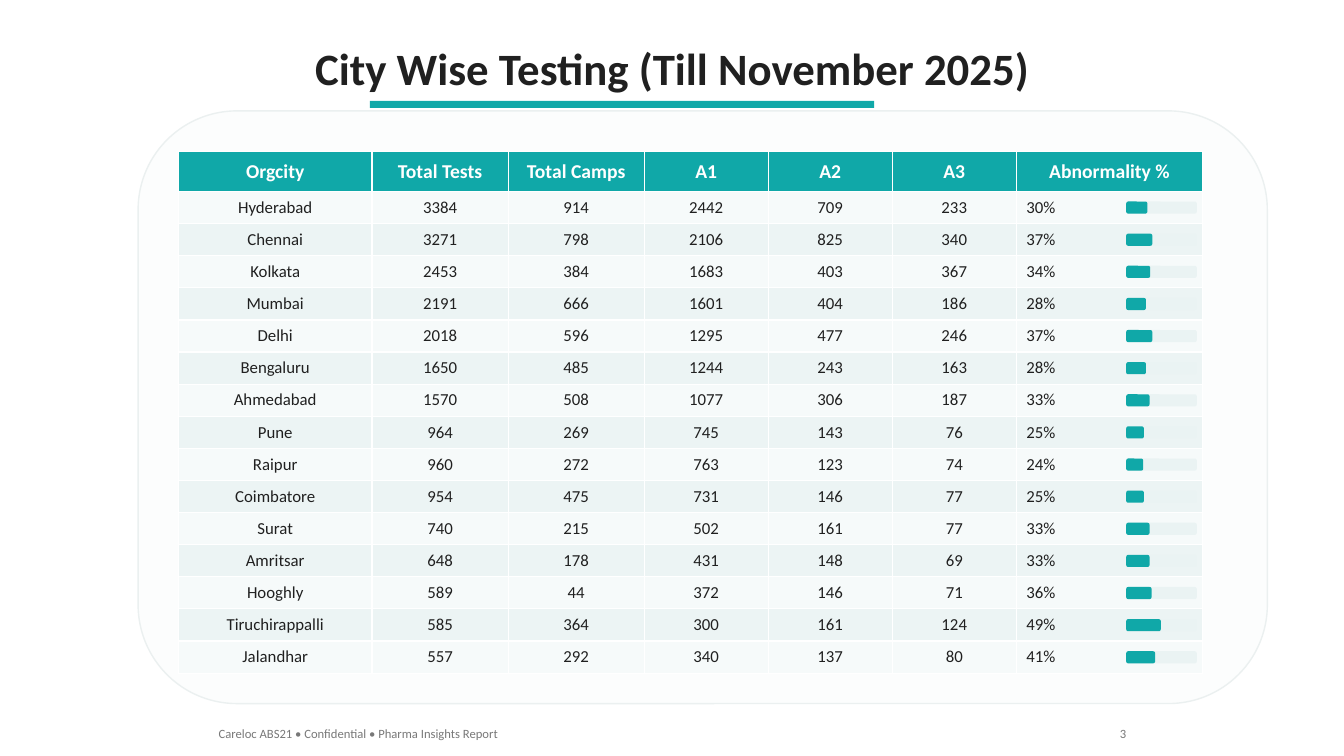
from pptx import Presentation
from pptx.dml.color import RGBColor
from pptx.enum.shapes import MSO_SHAPE as Shape
from pptx.enum.text import MSO_ANCHOR as Anchor, MSO_AUTO_SIZE as AutoSize, PP_ALIGN as Align
from pptx.util import Inches, Pt

COLORS = {
    "ink": "202020", "teal": "10A8A8", "white": "FFFFFF", "muted": "787878",
    "panel": "FCFDFD", "panel_edge": "EBF0F0", "track": "EAF3F3",
    "odd_row": "F6FAFA", "even_row": "ECF4F4",
}
HEADINGS = ["Orgcity", "Total Tests", "Total Camps", "A1", "A2", "A3", "Abnormality %"]
# City, tests, camps, A1, A2, A3, abnormality percentage
CITIES = [
    ("Hyderabad", 3384, 914, 2442, 709, 233, 30),
    ("Chennai", 3271, 798, 2106, 825, 340, 37),
    ("Kolkata", 2453, 384, 1683, 403, 367, 34),
    ("Mumbai", 2191, 666, 1601, 404, 186, 28),
    ("Delhi", 2018, 596, 1295, 477, 246, 37),
    ("Bengaluru", 1650, 485, 1244, 243, 163, 28),
    ("Ahmedabad", 1570, 508, 1077, 306, 187, 33),
    ("Pune", 964, 269, 745, 143, 76, 25),
    ("Raipur", 960, 272, 763, 123, 74, 24),
    ("Coimbatore", 954, 475, 731, 146, 77, 25),
    ("Surat", 740, 215, 502, 161, 77, 33),
    ("Amritsar", 648, 178, 431, 148, 69, 33),
    ("Hooghly", 589, 44, 372, 146, 71, 36),
    ("Tiruchirappalli", 585, 364, 300, 161, 124, 49),
    ("Jalandhar", 557, 292, 340, 137, 80, 41),
]
COLUMN_WIDTHS = [1.92, 1.35, 1.35, 1.23, 1.23, 1.23, 1.85]
TABLE_LEFT, TABLE_TOP, TABLE_HEIGHT, HEADER_HEIGHT = 1.77, 1.5, 5.18, 0.4
ROW_HEIGHT = (TABLE_HEIGHT - HEADER_HEIGHT) / len(CITIES)
BAR_LEFT, BAR_WIDTH, BAR_HEIGHT = 11.17, 0.7, 0.12


class ReportSlide:
    font_name = "Calibri"

    def __init__(self, slide):
        self.slide = slide

    def color(self, name):
        return RGBColor.from_string(COLORS[name])

    def set_text(self, frame, text, size, color, align=Align.LEFT, bold=False):
        frame.text = text
        line = frame.paragraphs[0]
        line.alignment = align
        line.font.name, line.font.size, line.font.bold = self.font_name, Pt(size), bold
        line.font.color.rgb = self.color(color)

    def title(self, box, text):
        heading = self.slide.shapes.title
        heading.left, heading.top, heading.width, heading.height = map(Inches, box)
        frame = heading.text_frame
        frame.word_wrap, frame.auto_size = False, AutoSize.NONE
        frame.vertical_anchor = Anchor.MIDDLE
        self.set_text(frame, text, 32, "ink", Align.CENTER, True)

    def label(self, box, text, align=Align.LEFT):
        frame = self.slide.shapes.add_textbox(*map(Inches, box)).text_frame
        frame.word_wrap = False
        self.set_text(frame, text, 9, "muted", align)

    def block(self, kind, box, fill, edge=None):
        block = self.slide.shapes.add_shape(kind, *map(Inches, box))
        block.shadow.inherit = False
        block.fill.solid()
        block.fill.fore_color.rgb = self.color(fill)
        if edge:
            block.line.color.rgb = self.color(edge)
            block.line.width = Pt(1)
        else:
            block.line.fill.background()

    def cell(self, cell, text, fill, size, color, align, bold=False):
        cell.fill.solid()
        cell.fill.fore_color.rgb = self.color(fill)
        cell.vertical_anchor = Anchor.MIDDLE
        self.set_text(cell.text_frame, text, size, color, align, bold)

    def city_table(self):
        box = (TABLE_LEFT, TABLE_TOP, sum(COLUMN_WIDTHS), TABLE_HEIGHT)
        table = self.slide.shapes.add_table(
            len(CITIES) + 1, len(HEADINGS), *map(Inches, box)).table
        for column, width in zip(table.columns, COLUMN_WIDTHS):
            column.width = Inches(width)
        for row in table.rows:
            row.height = Inches(ROW_HEIGHT)
        table.rows[0].height = Inches(HEADER_HEIGHT)

        for col, heading in enumerate(HEADINGS):
            self.cell(table.cell(0, col), heading, "teal", 14, "white", Align.CENTER, True)
        for row, (*counts, abnormal) in enumerate(CITIES, 1):
            fill = "odd_row" if row % 2 else "even_row"
            for col, value in enumerate(counts):
                self.cell(table.cell(row, col), str(value), fill, 12, "ink", Align.CENTER)
            self.cell(table.cell(row, len(counts)), f"{abnormal}%", fill, 12, "ink", Align.LEFT)

    def progress_bar(self, top, percent):
        for width, fill in ((BAR_WIDTH, "track"), (BAR_WIDTH * percent / 100, "teal")):
            self.block(Shape.ROUNDED_RECTANGLE, (BAR_LEFT, top, width, BAR_HEIGHT), fill)


def main():
    prs = Presentation()
    prs.slide_width, prs.slide_height = Inches(13.33), Inches(7.5)
    report = ReportSlide(prs.slides.add_slide(prs.slide_layouts[5]))

    # Title, underline and panel
    report.title((2.99, 0.35, 7.36, 0.64), "City Wise Testing (Till November 2025)")
    report.block(Shape.RECTANGLE, (3.67, 1, 5, 0.07), "teal")
    report.block(Shape.ROUNDED_RECTANGLE, (1.37, 1.1, 11.2, 5.88), "panel", "panel_edge")

    # City figures with a bar for each abnormality rate
    report.city_table()
    first_bar_top = TABLE_TOP + HEADER_HEIGHT + (ROW_HEIGHT - BAR_HEIGHT) / 2
    for index, city in enumerate(CITIES):
        report.progress_bar(first_bar_top + index * ROW_HEIGHT, city[-1])

    # Footer
    report.label((2.07, 7.15, 3.05, 0.25), "Careloc ABS21 • Confidential • Pharma Insights Report")
    report.label((11, 7.15, 0.27, 0.25), "3", Align.RIGHT)

    prs.save("out.pptx")


if __name__ == "__main__":
    main()
